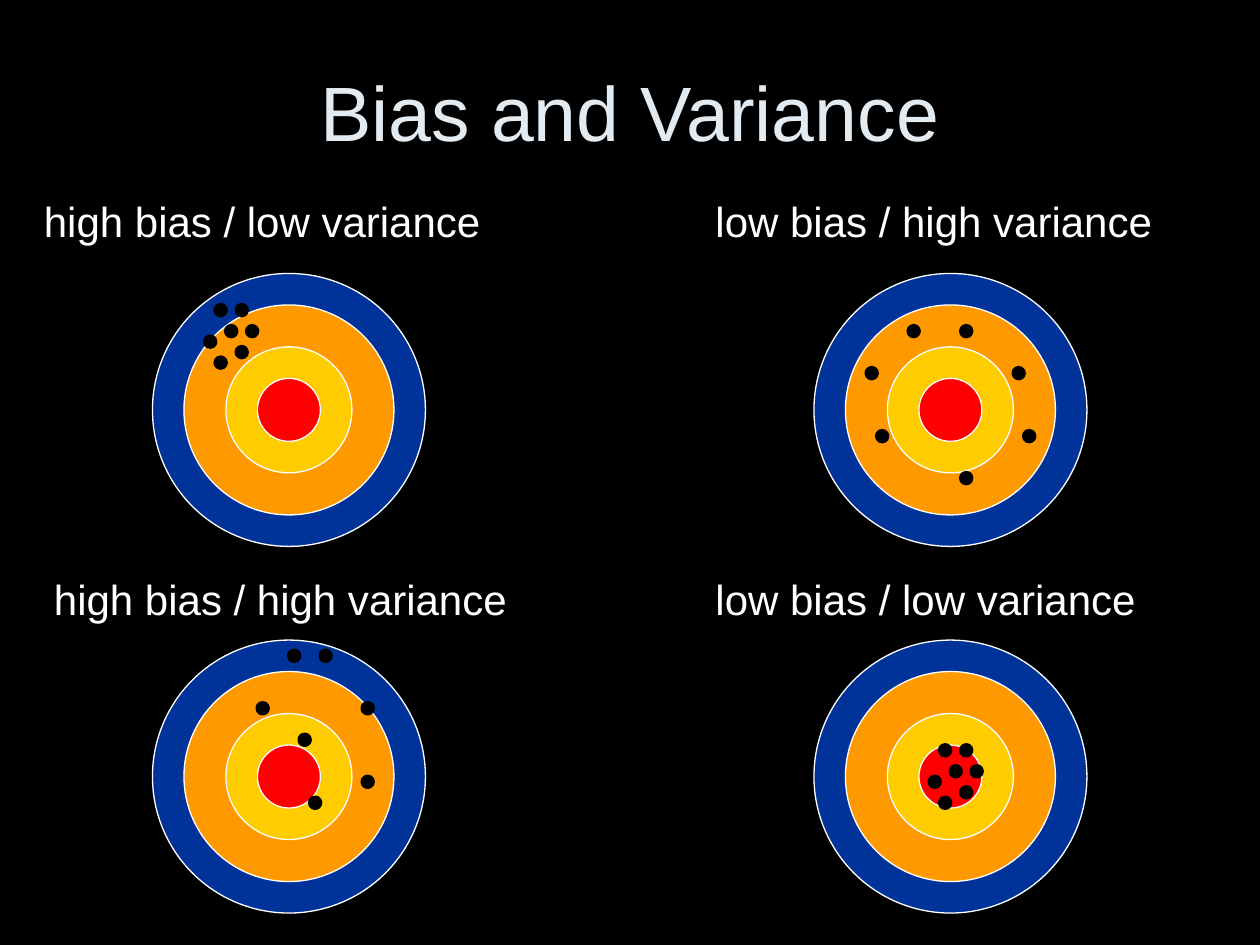
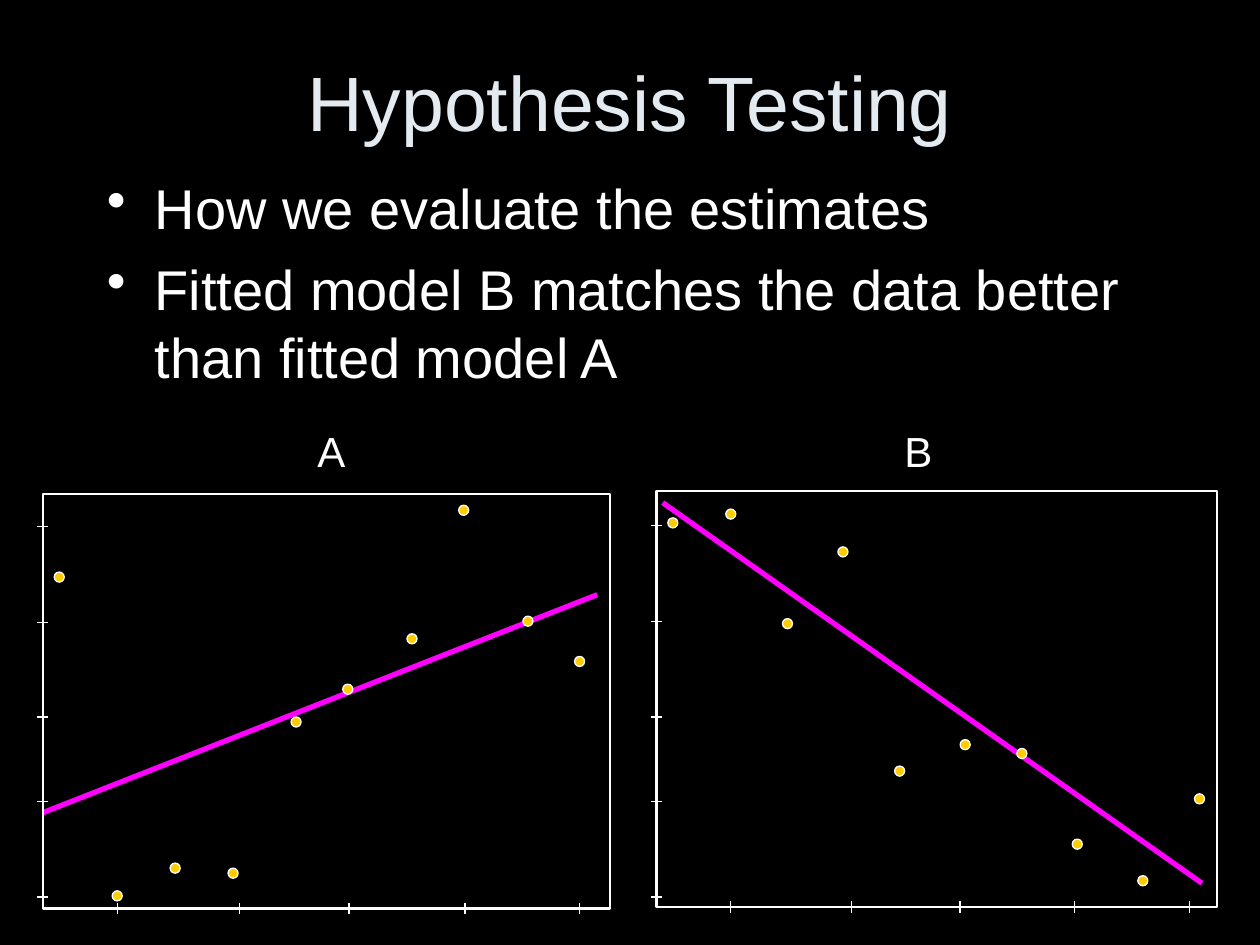
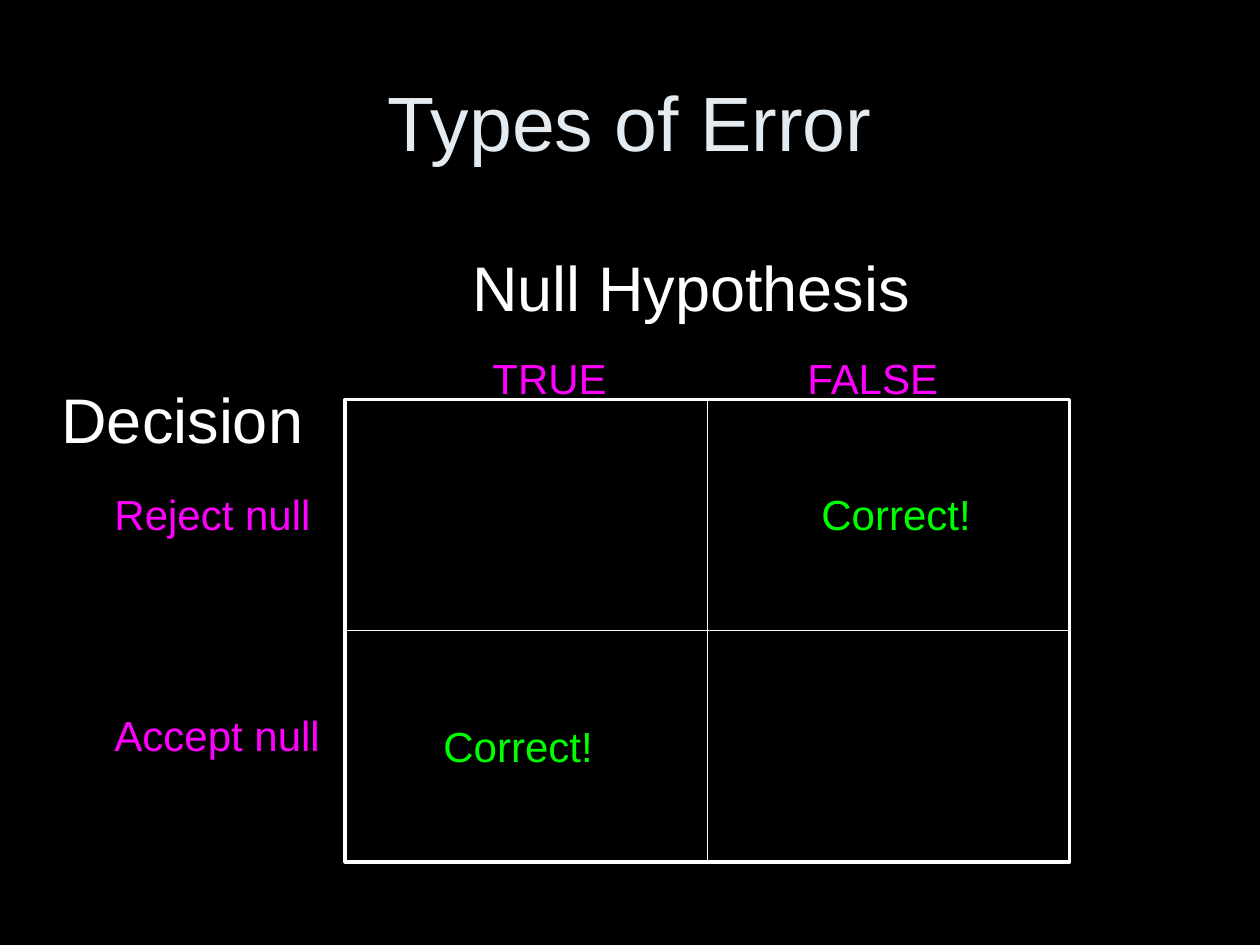
from dataclasses import dataclass

import lxml.etree
import pptx
import pptx.dml.color
import pptx.enum.shapes
import pptx.enum.text
import pptx.oxml.ns
import pptx.shapes.autoshape
import pptx.shapes.shapetree
import pptx.slide
import pptx.util

Inches = pptx.util.Inches
Pt = pptx.util.Pt
Shapes = pptx.shapes.shapetree._BaseGroupShapes
Kind = pptx.enum.shapes.MSO_SHAPE
Align = pptx.enum.text.PP_ALIGN
Point = tuple[float, float]

FONT = "Arial"
BLACK, WHITE, PALE = "000000", "FFFFFF", "E3EBF1"
BLUE, ORANGE, GOLD, RED = "003399", "FF9900", "FFCC00", "FF0000"
PINK, GREEN = "FF00FF", "00FF00"

UNIT = 1 / 12  # inches, grid step of the targets and width of a shot
FACE = 26 * UNIT
RINGS = ((FACE, BLUE), (20 * UNIT, ORANGE), (1, GOLD), (0.5, RED))
MARK = 0.08
TICK = 0.09


@dataclass
class Box:
    left: float
    top: float
    width: float
    height: float


@dataclass
class Label:
    text: str
    box: Box
    color: str = WHITE
    size: float = 24


@dataclass
class Target:
    left: float
    top: float
    label: Label
    shots: tuple[tuple[int, int], ...]  # in grid steps from the top left


@dataclass
class Plot:
    label: Label
    frame: Box
    trend: tuple[Point, Point]
    marks: tuple[Point, ...]
    cols: tuple[float, ...]
    rows: tuple[float, ...] = (4.18, 4.94, 5.69, 6.36, 7.12)


TARGETS = (
    Target(1.21, 2.17, Label("high bias / low variance", Box(0.25, 1.5, 4.08, 0.5)),
           ((6, 3), (5, 6), (7, 5), (6, 8), (8, 3), (8, 7), (9, 5))),
    Target(6.46, 2.17, Label("low bias / high variance", Box(5.58, 1.5, 3.92, 0.5)),
           ((9, 5), (5, 9), (19, 9), (6, 15), (14, 5), (14, 19), (20, 15))),
    Target(6.46, 5.08, Label("low bias / low variance", Box(5.58, 4.5, 3.92, 0.5)),
           ((12, 10), (11, 13), (13, 12), (12, 15), (14, 10), (14, 14), (15, 12))),
    Target(1.21, 5.08, Label("high bias / high variance", Box(0.33, 4.5, 3.92, 0.5)),
           ((13, 1), (10, 6), (15, 15), (14, 9), (16, 1), (20, 13), (20, 6))),
)

PLOTS = (
    Plot(Label("A", Box(2.42, 3.33, 0.5, 0.5)), Box(0.34, 3.92, 4.5, 3.29),
         ((0.34, 6.45), (4.74, 4.72)),
         ((0.43, 4.54), (3.64, 4.01), (2.72, 5.43), (3.23, 5.03), (2.31, 5.69),
          (1.81, 6.89), (1.35, 6.85), (0.89, 7.07), (4.15, 4.89), (4.56, 5.21)),
         (0.93, 1.9, 2.77, 3.69, 4.6)),
    Plot(Label("B", Box(7.08, 3.33, 0.5, 0.5)), Box(5.21, 3.9, 4.45, 3.3),
         ((5.26, 3.99), (9.54, 7.01)),
         ((5.3, 4.11), (5.76, 4.04), (6.21, 4.91), (6.65, 4.34), (7.1, 6.08),
          (7.62, 5.87), (8.07, 5.94), (8.51, 6.66), (9.48, 6.3), (9.03, 6.95)),
         (5.8, 6.76, 7.62, 8.53, 9.44), (4.17, 4.93, 5.69, 6.36, 7.12)),
)

POINTS = ("How we evaluate the estimates",
          "Fitted model B matches the data better than fitted model A")

TABLE = Box(2.74, 3.17, 5.75, 3.67)
NOTES = (
    Label("Null Hypothesis", Box(3.65, 1.92, 4, 0.7), size=36),
    Label("TRUE", Box(3.81, 2.75, 1.33, 0.5), PINK),
    Label("FALSE", Box(6.31, 2.75, 1.42, 0.5), PINK),
    Label("Decision", Box(0.39, 2.97, 2.33, 0.7), size=36),
    Label("Reject null", Box(0.81, 3.83, 2.08, 0.5), PINK),
    Label("Accept null", Box(0.81, 5.58, 2.08, 0.5), PINK),
    Label("Correct!", Box(3.42, 5.67, 1.58, 0.5), GREEN),
    Label("Correct!", Box(6.42, 3.83, 1.58, 0.5), GREEN),
)


def rgb(code: str) -> pptx.dml.color.RGBColor:
    return pptx.dml.color.RGBColor.from_string(code)


def place(box: Box) -> tuple[int, ...]:
    return tuple(Inches(n) for n in (box.left, box.top, box.width, box.height))


def add_text(shapes: Shapes, label: Label) -> pptx.shapes.autoshape.Shape:
    """Add a text box, with one paragraph for each line of the label."""
    shape = shapes.add_textbox(*place(label.box))
    frame = shape.text_frame
    frame.word_wrap = True
    frame.text = label.text
    for para in frame.paragraphs:
        for run in para.runs:
            run.font.name = FONT
            run.font.size = Pt(label.size)
            run.font.color.rgb = rgb(label.color)
    return shape


def add_form(shapes: Shapes, kind: Kind, box: Box, fill: str | None,
             line: str = WHITE, weight: float = 0.75) -> None:
    shape = shapes.add_shape(kind, *place(box))
    shape.shadow.inherit = False
    if fill is None:
        shape.fill.background()
    else:
        shape.fill.solid()
        shape.fill.fore_color.rgb = rgb(fill)
    shape.line.color.rgb = rgb(line)
    shape.line.width = Pt(weight)


def add_line(shapes: Shapes, start: Point, end: Point,
             color: str = WHITE, weight: float = 0.75) -> None:
    line = shapes.add_connector(pptx.enum.shapes.MSO_CONNECTOR.STRAIGHT,
                                *(Inches(n) for n in start + end))
    line.line.color.rgb = rgb(color)
    line.line.width = Pt(weight)
    lxml.etree.SubElement(line._element.spPr, pptx.oxml.ns.qn("a:effectLst"))


def add_slide(deck, title: str, top: float) -> pptx.slide.Slide:
    slide = deck.slides.add_slide(deck.slide_layouts[6])
    shape = add_text(slide.shapes, Label(title, Box(0.75, top, 8.5, 1.25), PALE, 44))
    shape.text_frame.vertical_anchor = pptx.enum.text.MSO_ANCHOR.MIDDLE
    shape.text_frame.paragraphs[0].alignment = Align.CENTER
    return slide


def add_points(shapes: Shapes, points: tuple[str, ...]) -> None:
    shape = add_text(shapes, Label("\n".join(points), Box(0.75, 1.33, 8.5, 4.5), size=32))
    for para in shape.text_frame.paragraphs:
        para.space_before = Pt(8)
        props = para._p.get_or_add_pPr()
        props.set("marL", str(Inches(0.38)))
        props.set("indent", str(-Inches(0.38)))
        bullet = lxml.etree.SubElement(props, pptx.oxml.ns.qn("a:buChar"))
        bullet.set("char", "•")


def add_target(slide: pptx.slide.Slide, target: Target) -> None:
    shapes = slide.shapes.add_group_shape().shapes
    for size, color in RINGS:
        gap = (FACE - size) / 2
        add_form(shapes, Kind.OVAL,
                 Box(target.left + gap, target.top + gap, size, size), color)
    for col, row in target.shots:
        spot = Box(target.left + col * UNIT, target.top + row * UNIT, UNIT, UNIT)
        add_form(shapes, Kind.OVAL, spot, BLACK, BLACK, 2.25)
    add_text(slide.shapes, target.label)


def add_plot(slide: pptx.slide.Slide, plot: Plot) -> None:
    shapes = slide.shapes.add_group_shape().shapes
    add_line(shapes, *plot.trend, PINK, 3)
    for left, top in plot.marks:
        add_form(shapes, Kind.OVAL, Box(left, top, MARK, MARK), GOLD)
    add_form(shapes, Kind.RECTANGLE, plot.frame, None, weight=1.25)
    left, base = plot.frame.left, plot.frame.top + plot.frame.height
    for row in plot.rows:
        add_line(shapes, (left - TICK / 2, row), (left + TICK / 2, row))
    for col in plot.cols:
        add_line(shapes, (col, base - TICK / 2), (col, base + TICK / 2))
    add_text(slide.shapes, plot.label)


def add_table_frame(shapes: Shapes, box: Box) -> None:
    """Draw the heavy frame and the two thin lines that quarter it."""
    add_form(shapes, Kind.RECTANGLE, box, None, weight=2)
    mid, half = box.left + box.width / 2, box.top + box.height / 2
    add_line(shapes, (mid, box.top), (mid, box.top + box.height))
    add_line(shapes, (box.left, half), (box.left + box.width, half))


def main() -> None:
    deck = pptx.Presentation()
    deck.slide_width, deck.slide_height = Inches(10), Inches(7.5)
    ground = deck.slide_master.background.fill
    ground.solid()
    ground.fore_color.rgb = rgb(BLACK)

    slide = add_slide(deck, "Bias and Variance", 0.25)
    for target in TARGETS:
        add_target(slide, target)

    slide = add_slide(deck, "Hypothesis Testing", 0.17)
    add_points(slide.shapes, POINTS)
    for plot in PLOTS:
        add_plot(slide, plot)

    slide = add_slide(deck, "Types of Error", 0.33)
    add_table_frame(slide.shapes, TABLE)
    for note in NOTES:
        add_text(slide.shapes, note)

    deck.save("out.pptx")


if __name__ == "__main__":
    main()
